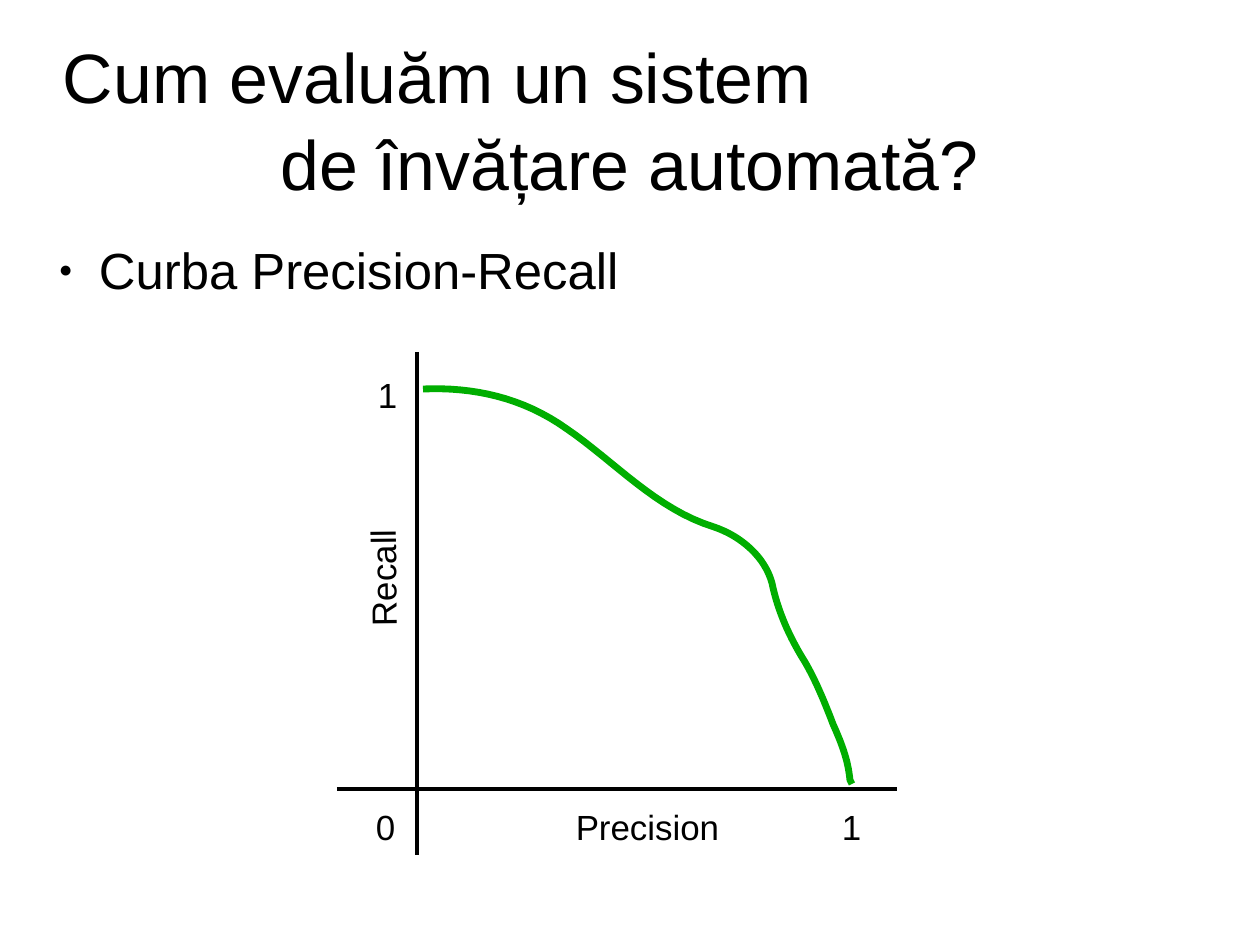
from lxml.etree import SubElement
from pptx import Presentation
from pptx.dml.color import RGBColor
from pptx.enum.shapes import MSO_CONNECTOR
from pptx.enum.text import MSO_ANCHOR, MSO_AUTO_SIZE, PP_ALIGN
from pptx.oxml.ns import qn
from pptx.util import Pt

SCALE = 8000
COLORS = {"ink": "000000", "curve": "00AE00"}


class Board:
    font = "Arial"
    steps = 16

    def __init__(self, wide, high):
        self.deck = Presentation()
        self.deck.slide_width = wide * SCALE
        self.deck.slide_height = high * SCALE
        self.slide = self.deck.slides.add_slide(self.deck.slide_layouts[5])

    def color(self, name):
        return RGBColor.from_string(COLORS[name])

    def place(self, shape, box):
        shape.left, shape.top, shape.width, shape.height = (v * SCALE for v in box)

    def style(self, para, size, align):
        para.alignment = align
        para.font.name = self.font
        para.font.size = Pt(size)
        para.font.color.rgb = self.color("ink")

    def frame(self, shape, inset=(0, 0)):
        frame = shape.text_frame
        frame.word_wrap = True
        frame.auto_size = MSO_AUTO_SIZE.NONE
        frame.margin_left = frame.margin_right = inset[0] * SCALE
        frame.margin_top = frame.margin_bottom = inset[1] * SCALE
        return frame

    def title(self, box, lines):
        shape = self.slide.shapes.title
        self.place(shape, box)
        frame = self.frame(shape)
        frame.vertical_anchor = MSO_ANCHOR.MIDDLE
        frame.text = "\n".join(text for text, _ in lines)
        for para, (_, align) in zip(frame.paragraphs, lines):
            para.line_spacing = 1.05
            self.style(para, 44, align)

    def bullet(self, box, text):
        shape = self.slide.shapes.add_textbox(*(v * SCALE for v in box))
        para = self.frame(shape).paragraphs[0]
        para.text = text
        para.space_after = Pt(14.1)
        props = para._p.get_or_add_pPr()
        props.set("marL", str(54 * SCALE))
        props.set("indent", str(-40 * SCALE))
        tint = SubElement(props, qn("a:buClr"))
        SubElement(tint, qn("a:srgbClr"), val=COLORS["ink"])
        SubElement(props, qn("a:buSzPct"), val="45000")
        SubElement(props, qn("a:buFont"), typeface=self.font)
        SubElement(props, qn("a:buChar"), char="●")
        self.style(para, 32, PP_ALIGN.LEFT)

    def label(self, box, text, turn=0):
        shape = self.slide.shapes.add_textbox(*(v * SCALE for v in box))
        shape.rotation = turn
        para = self.frame(shape, (11, 6)).paragraphs[0]
        para.text = text
        self.style(para, 22, PP_ALIGN.CENTER)

    def axis(self, *ends):
        line = self.slide.shapes.add_connector(
            MSO_CONNECTOR.STRAIGHT, *(v * SCALE for v in ends))
        line.line.color.rgb = self.color("ink")
        line.line.width = Pt(2.89)
        SubElement(line._element.spPr, qn("a:effectLst"))

    def curve(self, start, bends, end):
        dots, last = [], start
        for bend in bends:
            knots = (last, *bend)
            for step in range(1, self.steps + 1):
                t = step / self.steps
                parts = ((1 - t) ** 3, 3 * t * (1 - t) ** 2,
                         3 * t * t * (1 - t), t ** 3)
                dots.append(tuple(
                    round(SCALE * sum(p * k[i] for p, k in zip(parts, knots)))
                    for i in (0, 1)))
            last = bend[-1]
        dots.append(tuple(v * SCALE for v in end))
        path = self.slide.shapes.build_freeform(*(v * SCALE for v in start))
        path.add_line_segments(dots, close=False)
        shape = path.convert_to_shape()
        shape.shadow.inherit = False
        shape.fill.background()
        shape.line.color.rgb = self.color("curve")
        shape.line.width = Pt(4.31)


def main():
    board = Board(1260, 945)
    board.title((63, 38, 1134, 158), [
        ("Cum evaluăm un sistem", PP_ALIGN.LEFT),
        ("de învățare automată?", PP_ALIGN.CENTER),
    ])
    board.bullet((45, 239, 845, 686), "Curba Precision-Recall")
    board.axis(417, 352, 417, 855)
    board.axis(337, 789, 897, 789)
    board.label((459, 800, 377, 50), "Precision")
    board.label((192, 553, 377, 50), "Recall", 269.4)
    for left, top, text in ((817, 800, "1"), (351, 800, "0"), (353, 368, "1")):
        board.label((left, top, 69, 50), text)
    board.curve((423, 389), [
        ((473, 387), (522, 397), (567, 429)),
        ((615, 462), (656, 509), (714, 527)),
        ((741, 536), (765, 557), (772, 583)),
        ((778, 612), (790, 638), (805, 662)),
        ((816, 681), (825, 703), (833, 724)),
        ((841, 742), (848, 759), (850, 780)),
    ], (852, 784))
    board.deck.save("out.pptx")


if __name__ == "__main__":
    main()
